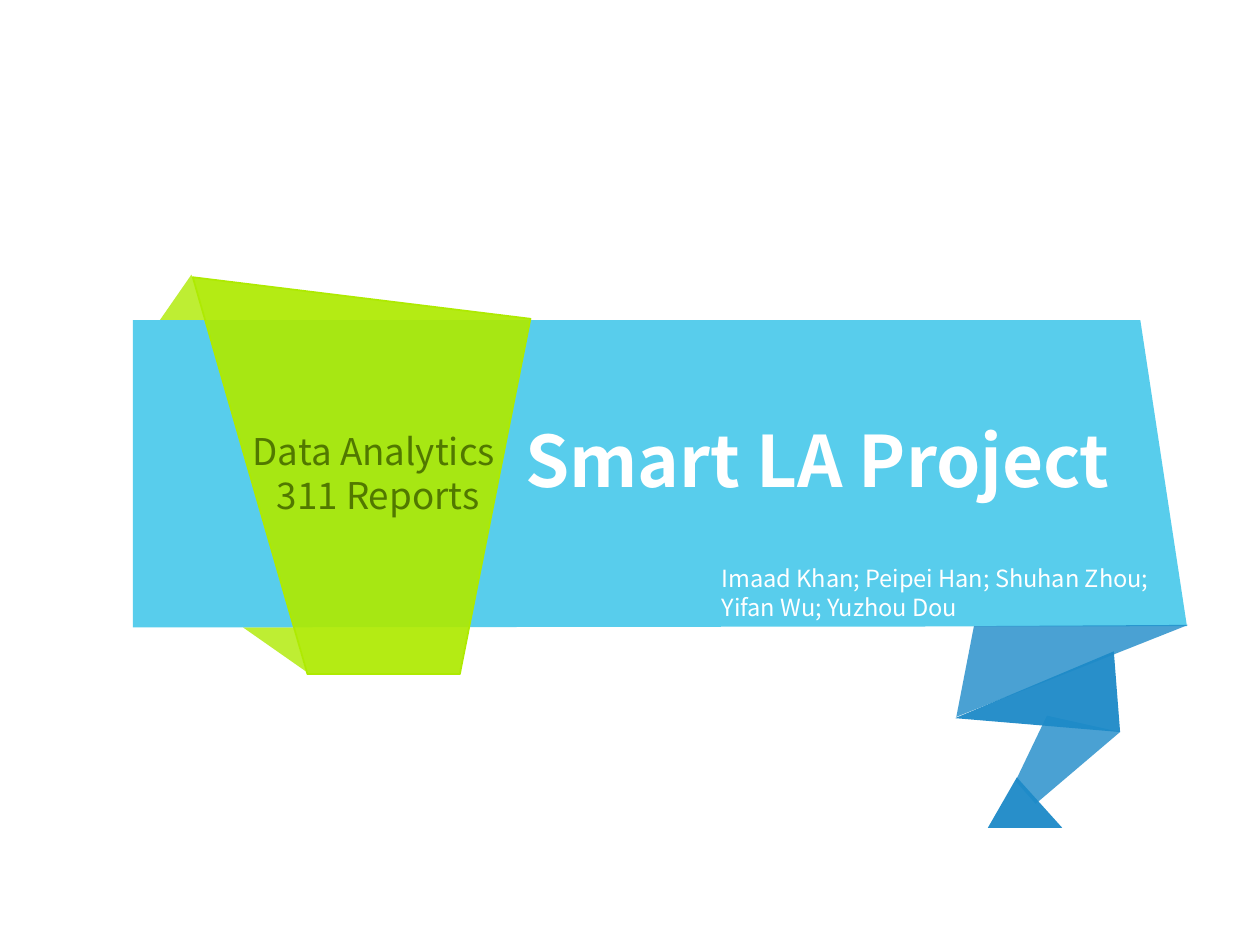
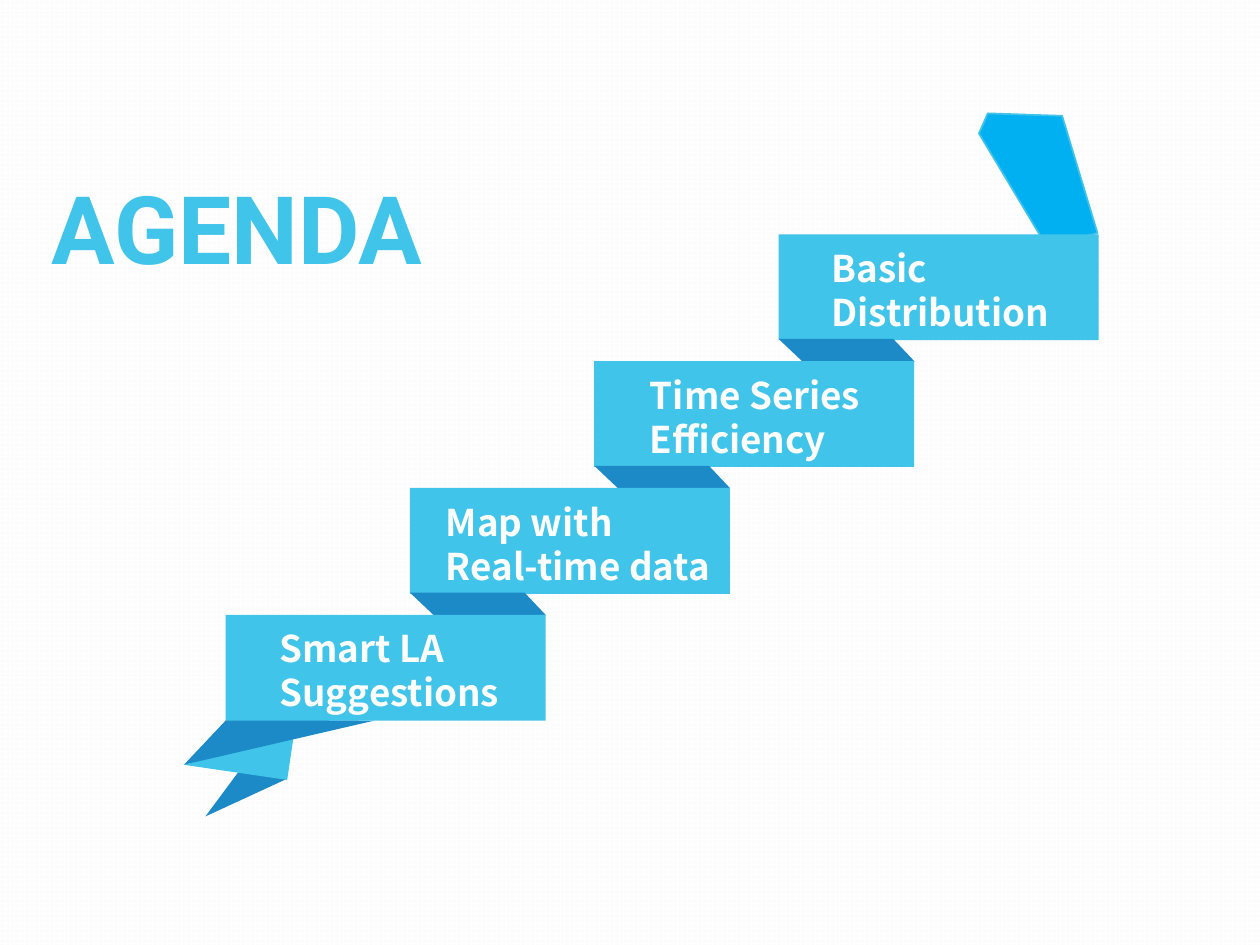
"""Build a folded-ribbon title slide and a stepped agenda slide."""
from pptx import Presentation
from pptx.dml.color import RGBColor
from pptx.enum.dml import MSO_PATTERN
from pptx.enum.shapes import MSO_SHAPE
from pptx.enum.text import MSO_AUTO_SIZE, PP_ALIGN
from pptx.oxml.xmlchemy import OxmlElement
from pptx.util import Inches, Pt

WHITE = RGBColor(0xFF, 0xFF, 0xFF)
PAPER = RGBColor(0xFC, 0xFC, 0xFC)
LIME = RGBColor(0xAE, 0xEA, 0x01)
MOSS = RGBColor(0x51, 0x78, 0x00)
SKY = RGBColor(0x3B, 0xC5, 0xE9)
RIBBON = RGBColor(0x41, 0xC4, 0xE9)
EDGE = RGBColor(0x43, 0xC3, 0xEA)
BRIGHT = RGBColor(0x00, 0xB0, 0xF0)
DEEP = RGBColor(0x1D, 0x8A, 0xC8)
BODY_FONT = "Noto Sans CJK SC"
HEADING_FONT = "Roboto"

deck = Presentation()
deck.slide_width, deck.slide_height = Inches(10), Inches(7.5)
COLUMN = deck.slide_width / 100
ROW = deck.slide_height / 75


def add_fold(page, points, colour, opacity=100, edge=None):
    """Draw a closed ribbon piece through grid points."""
    corners = [(round(x * COLUMN), round(y * ROW)) for x, y in points]
    outline = page.shapes.build_freeform(*corners[0])
    outline.add_line_segments(corners[1:], close=True)
    fold = outline.convert_to_shape()
    fold.shadow.inherit = False
    fold.fill.solid()
    fold.fill.fore_color.rgb = colour
    if opacity < 100:
        alpha = OxmlElement("a:alpha")
        alpha.set("val", str(opacity * 1000))
        fold.fill._xPr.find(".//{*}srgbClr").append(alpha)
    if edge:
        fold.line.color.rgb = edge
        fold.line.width = Pt(1)
    else:
        fold.line.fill.background()


def add_label(page, area, lines, size, colour, bold=False, font=BODY_FONT,
              align=PP_ALIGN.LEFT, wrap=False):
    """Write lines of text in a box given in grid units."""
    left, top, width, height = area
    box = page.shapes.add_textbox(round(left * COLUMN), round(top * ROW),
                                  round(width * COLUMN), round(height * ROW))
    frame = box.text_frame
    frame.text = "\n".join(lines)
    frame.word_wrap = wrap
    frame.auto_size = MSO_AUTO_SIZE.SHAPE_TO_FIT_TEXT
    for para in frame.paragraphs:
        para.alignment = align
        for span in para.runs:
            span.font.name = font
            span.font.size = Pt(size)
            span.font.bold = bold
            span.font.color.rgb = colour


blank = deck.slide_layouts[6]

cover = deck.slides.add_slide(blank)
cover.background.fill.solid()
cover.background.fill.fore_color.rgb = WHITE
cover_folds = [
    ([(19.3, 49.8), (23.3, 49.8), (24.3, 53.3)], LIME, 80, None),
    ([(83.1, 56.8), (88.9, 58.1), (82.2, 63.8), (80.6, 62)], DEEP, 80, None),
    ([(75.8, 57), (88.4, 51.7), (88.9, 58.1)], DEEP, 95, None),
    ([(10.55, 25.4), (90.5, 25.4), (94.2, 49.7), (10.55, 49.8)], SKY, 85, None),
    ([(12.7, 25.4), (15.2, 21.8), (16.3, 25.4)], LIME, 80, None),
    ([(77.3, 49.7), (94.3, 49.6), (75.9, 56.9)], DEEP, 80, None),
    ([(15.3, 22), (42.1, 25.3), (36.5, 53.5), (24.4, 53.5)], LIME, 92, LIME),
    ([(80.7, 61.7), (84.3, 65.7), (78.4, 65.7)], DEEP, 95, None),
]
for points, colour, opacity, edge in cover_folds:
    add_fold(cover, points, colour, opacity, edge)
add_label(cover, (40.7, 32.6, 50.3, 7.8), ["Smart LA Project"], 40.5, WHITE, bold=True)
add_label(cover, (18.5, 33.5, 23, 8.1), ["Data Analytics ", "311 Reports"], 21, MOSS,
          align=PP_ALIGN.CENTER)
add_label(cover, (56.3, 44.3, 37.7, 5.6),
          ["Imaad Khan; Peipei Han; Shuhan Zhou;", "Yifan Wu; Yuzhou Dou"],
          13.5, WHITE, wrap=True)

agenda = deck.slides.add_slide(blank)
backdrop = agenda.background.fill
backdrop.patterned()
backdrop.pattern = MSO_PATTERN.LARGE_GRID
backdrop.fore_color.rgb = WHITE
backdrop.back_color.rgb = PAPER

add_fold(agenda, [(22.8, 61.8), (16.3, 64.8), (18.9, 61.3)], DEEP)
add_fold(agenda, [(22.8, 61.9), (14.6, 60.7), (23.3, 58.5)], RIBBON)
add_fold(agenda, [(78.4, 9), (84.3, 9.2), (87.1, 18.5), (83.1, 19.6), (77.7, 10.6)],
         BRIGHT, edge=EDGE)
add_fold(agenda, [(18, 57.1), (29.7, 57.2), (14.6, 60.7)], DEEP)

steps = [
    (["Basic", "Distribution"], 65, 19.9),
    (["Time Series", "Efficiency"], 50.6, 19),
    (["Map with", "Real-time data"], 34.4, 23.7),
    (["Smart LA", "Suggestions"], 21.2, 20.2),
]
last = len(steps) - 1
STEP_WIDTH, STEP_HEIGHT = 25.4, 8.4
STEP_LEFT, STEP_DOWN = (61.8 - 17.9) / last, (48.8 - 18.6) / last
for index, (lines, text_left, text_width) in enumerate(steps):
    left, top = 61.8 - index * STEP_LEFT, 18.6 + index * STEP_DOWN
    band = agenda.shapes.add_shape(
        MSO_SHAPE.RECTANGLE, round(left * COLUMN), round(top * ROW),
        round(STEP_WIDTH * COLUMN), round(STEP_HEIGHT * ROW))
    band.shadow.inherit = False
    band.fill.solid()
    band.fill.fore_color.rgb = RIBBON
    band.line.fill.background()
    if index < last:
        crease = top + STEP_HEIGHT - 0.1
        add_fold(agenda, [(left, crease), (left + 9.1, crease),
                          (left + 10.8, crease + 1.8), (left + 1.9, crease + 1.8)], DEEP)
    add_label(agenda, (text_left, top + 0.4, text_width, 8.1), lines, 21, WHITE, bold=True)

add_label(agenda, (3.1, 13, 34.6, 10.1), ["AGENDA"], 54, RIBBON, bold=True, font=HEADING_FONT)

deck.save("out.pptx")
